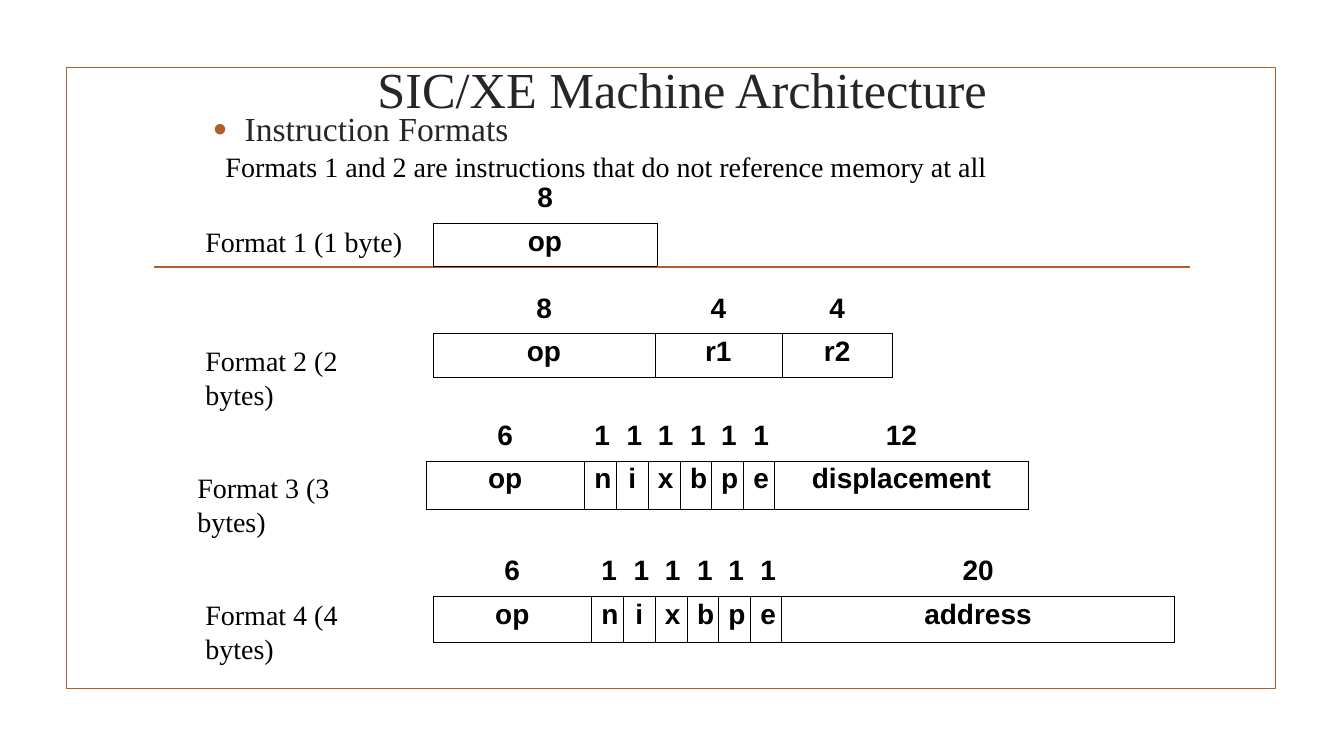
import pptx
import pptx.util
import pptx.dml.color
import pptx.enum.shapes
import pptx.enum.text
import pptx.oxml
import pptx.oxml.ns
from dataclasses import dataclass
from lxml import etree

Inches = pptx.util.Inches
Pt = pptx.util.Pt
Color = pptx.dml.color.RGBColor
Align = pptx.enum.text.PP_ALIGN
qn = pptx.oxml.ns.qn


@dataclass(frozen=True)
class Theme:
    accent: str = "B15E28"
    heading: str = "262626"
    ink: str = "000000"
    serif: str = "Times New Roman"
    sans: str = "Arial"
    title_size: int = 36
    topic_size: int = 24
    body_size: int = 20
    rule_width: float = 1.25
    border_width: float = 0.23


theme = Theme()


def style_text(para, size, face, color, bold=False):
    for span in para.runs:
        span.font.size = Pt(size)
        span.font.name = face
        span.font.bold = bold
        span.font.color.rgb = Color.from_string(color)


def add_label(text, left, top, width, height, size, color):
    box = page.shapes.add_textbox(Inches(left), Inches(top), Inches(width), Inches(height))
    box.text_frame.word_wrap = False
    box.text_frame.text = text
    para = box.text_frame.paragraphs[0]
    style_text(para, size, theme.serif, color)
    return box


deck = pptx.Presentation()
deck.slide_width = Inches(13.34)
deck.slide_height = Inches(7.5)
page = deck.slides.add_slide(deck.slide_layouts[5])

frame = page.shapes.add_shape(
    pptx.enum.shapes.MSO_SHAPE.RECTANGLE, Inches(0.66), Inches(0.67), Inches(12), Inches(6.16))
frame.shadow.inherit = False
frame.fill.background()
rule = page.shapes.add_connector(
    pptx.enum.shapes.MSO_CONNECTOR.STRAIGHT, Inches(1.53), Inches(2.65), Inches(11.81), Inches(2.65))
etree.SubElement(rule.element.spPr, qn("a:effectLst"))
for outline in (frame.line, rule.line):
    outline.color.rgb = Color.from_string(theme.accent)
    outline.width = Pt(theme.rule_width)

title = page.shapes.title
title.left, title.top = Inches(2.25), Inches(0.4)
title.width, title.height = Inches(9.17), Inches(0.96)
title.text_frame.text = "SIC/XE Machine Architecture "
title.text_frame.auto_size = pptx.enum.text.MSO_AUTO_SIZE.NONE
title.text_frame.vertical_anchor = pptx.enum.text.MSO_ANCHOR.MIDDLE
title_para = title.text_frame.paragraphs[0]
title_para.alignment = Align.CENTER
style_text(title_para, theme.title_size, theme.serif, theme.heading)

topic = add_label("Instruction Formats", 2.02, 1.07, 8.5, 0.55, theme.topic_size, theme.heading)
topic.text_frame.word_wrap = True
topic_para = topic.text_frame.paragraphs[0]
topic_para.line_spacing = 0.9
topic_properties = topic_para._p.get_or_add_pPr()
topic_properties.set("marL", str(Inches(0.31)))
topic_properties.set("indent", str(-Inches(0.31)))
bullet_color = etree.SubElement(topic_properties, qn("a:buClr"))
etree.SubElement(bullet_color, qn("a:srgbClr"), val=theme.accent)
etree.SubElement(topic_properties, qn("a:buSzPct"), val="115000")
etree.SubElement(topic_properties, qn("a:buFont"), typeface=theme.sans)
etree.SubElement(topic_properties, qn("a:buChar"), char="•")

add_label("Formats 1 and 2 are instructions that do not reference memory at all",
          2.14, 1.43, 7.76, 0.44, theme.body_size, theme.ink)

flags = [("1", name, width) for name, width in zip("nixbpe", [0.32, 0.31] * 3)]
formats = [
    ("Format 1 (1 byte)", 1.94, 2.18, 4.3, 1.78, 0.43, [("8", "op", 2.22)]),
    ("Format 2 (2 bytes)", 1.94, 3.36, 4.3, 2.88, 0.43,
     [("8", "op", 2.2), ("4", "r1", 1.26), ("4", "r2", 1.1)]),
    ("Format 3 (3 bytes)", 1.86, 4.62, 4.23, 4.14, 0.48,
     [("6", "op", 1.57), *flags, ("12", "displacement", 2.52)]),
    ("Format 4 (4 bytes)", 1.94, 5.88, 4.3, 5.48, 0.46,
     [("6", "op", 1.57), *flags, ("20", "address", 3.9)]),
]
bits_height = 0.43

for label, label_left, label_top, left, top, field_height, fields in formats:
    add_label(label, label_left, label_top, 2.26, 0.44, theme.body_size, theme.ink)
    total_width = sum(width for bits, name, width in fields)
    table = page.shapes.add_table(
        2, len(fields), Inches(left), Inches(top),
        Inches(total_width), Inches(bits_height + field_height)).table
    table.first_row = False
    table.horz_banding = False
    table.rows[0].height = Inches(bits_height)
    table.rows[1].height = Inches(field_height)
    for column, (bits, name, width) in enumerate(fields):
        table.columns[column].width = Inches(width)
        for row, text in enumerate((bits, name)):
            cell = table.cell(row, column)
            cell.text_frame.text = text
            para = cell.text_frame.paragraphs[0]
            para.alignment = Align.CENTER
            para.line_spacing = 0.93
            style_text(para, theme.body_size, theme.sans, theme.ink, True)
            cell_properties = cell._tc.get_or_add_tcPr()
            for side in ("lnL", "lnR", "lnT", "lnB"):
                border = etree.SubElement(
                    cell_properties, qn("a:" + side), w=str(Pt(theme.border_width)))
                if row == 1 or side == "lnB":
                    border_fill = etree.SubElement(border, qn("a:solidFill"))
                    etree.SubElement(border_fill, qn("a:srgbClr"), val=theme.ink)
                else:
                    etree.SubElement(border, qn("a:noFill"))
            cell.fill.background()

deck.save("out.pptx")
